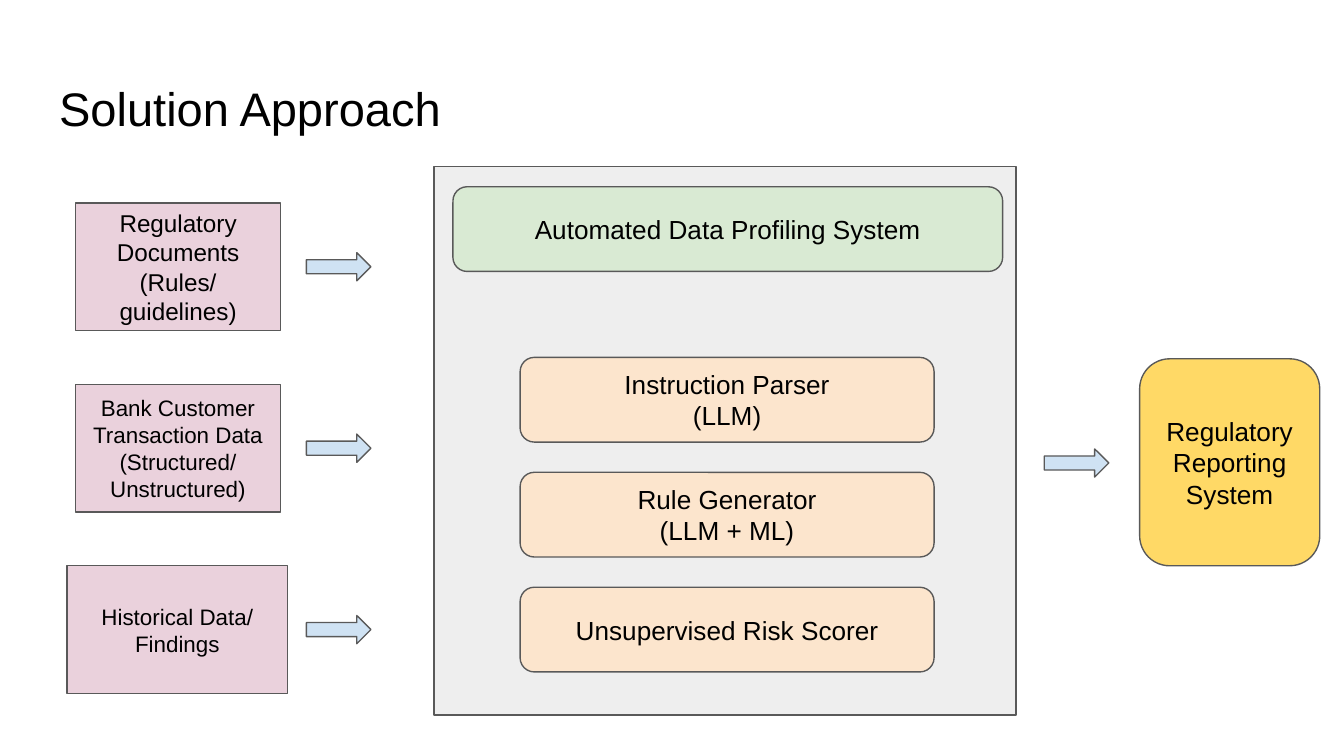
from pptx import Presentation
from pptx.dml.color import RGBColor
from pptx.enum.shapes import MSO_SHAPE
from pptx.enum.text import MSO_ANCHOR, PP_ALIGN
from pptx.util import Inches, Pt

BLACK = RGBColor(0x00, 0x00, 0x00)
GRAY = RGBColor(0x59, 0x59, 0x59)
PANEL = RGBColor(0xEE, 0xEE, 0xEE)
PINK = RGBColor(0xEA, 0xD1, 0xDC)
GREEN = RGBColor(0xD9, 0xEA, 0xD3)
PEACH = RGBColor(0xFC, 0xE5, 0xCD)
YELLOW = RGBColor(0xFF, 0xD9, 0x66)
BLUE = RGBColor(0xCF, 0xE2, 0xF3)


def set_text(sp, text, size, align, anchor):
    tf = sp.text_frame
    tf.text = text
    tf.word_wrap = True
    tf.vertical_anchor = anchor
    tf.margin_left = tf.margin_right = Inches(0.1)
    tf.margin_top = tf.margin_bottom = Inches(0.1)
    for p in tf.paragraphs:
        p.alignment = align
        for r in p.runs:
            r.font.name = "Arial"
            r.font.size = Pt(size)
            r.font.color.rgb = BLACK


def add_box(kind, x, y, w, h, fill, text="", size=14):
    sp = s.shapes.add_shape(kind, Inches(x), Inches(y), Inches(w), Inches(h))
    sp.shadow.inherit = False
    sp.fill.solid()
    sp.fill.fore_color.rgb = fill
    sp.line.color.rgb = GRAY
    sp.line.width = Pt(0.75)
    if text:
        set_text(sp, text, size, PP_ALIGN.CENTER, MSO_ANCHOR.MIDDLE)


prs = Presentation()
prs.slide_width = Inches(10)
prs.slide_height = Inches(10) * 9 // 16
s = prs.slides.add_slide(prs.slide_layouts[5])

title = s.shapes.title
title.left, title.top = Inches(0.34), Inches(0.49)
title.width, title.height = Inches(9.32), Inches(0.63)
set_text(title, "Solution Approach", 25.2, PP_ALIGN.LEFT, MSO_ANCHOR.TOP)

inputs = [
    ("Regulatory Documents (Rules/ guidelines)", 0.56, 1.53, 13),
    ("Bank Customer Transaction Data (Structured/ Unstructured)", 0.56, 1.53, 12),
    ("Historical Data/ Findings", 0.5, 1.64, 12),
]
for i, (text, x, w, size) in enumerate(inputs):
    y = 1.51 + i * 1.35
    add_box(MSO_SHAPE.RECTANGLE, x, y, w, 0.95, PINK, text, size)

add_box(MSO_SHAPE.RECTANGLE, 3.23, 1.24, 4.33, 4.08, PANEL)
add_box(MSO_SHAPE.ROUNDED_RECTANGLE, 3.37, 1.39, 4.09, 0.63, GREEN,
        "Automated Data Profiling System")

stages = ["Instruction Parser\n(LLM)", "Rule Generator\n(LLM + ML)",
          "Unsupervised Risk Scorer"]
for i, text in enumerate(stages):
    add_box(MSO_SHAPE.ROUNDED_RECTANGLE, 3.87, 2.66 + i * 1.71 / 2, 3.08, 0.63,
            PEACH, text)

add_box(MSO_SHAPE.ROUNDED_RECTANGLE, 8.48, 2.67, 1.34, 1.54, YELLOW,
        "Regulatory Reporting System")

for x, y in [(2.28, 1.88), (2.28, 3.23), (2.28, 4.58), (7.77, 3.34)]:
    add_box(MSO_SHAPE.RIGHT_ARROW, x, y, 0.48, 0.21, BLUE)

prs.save("out.pptx")
